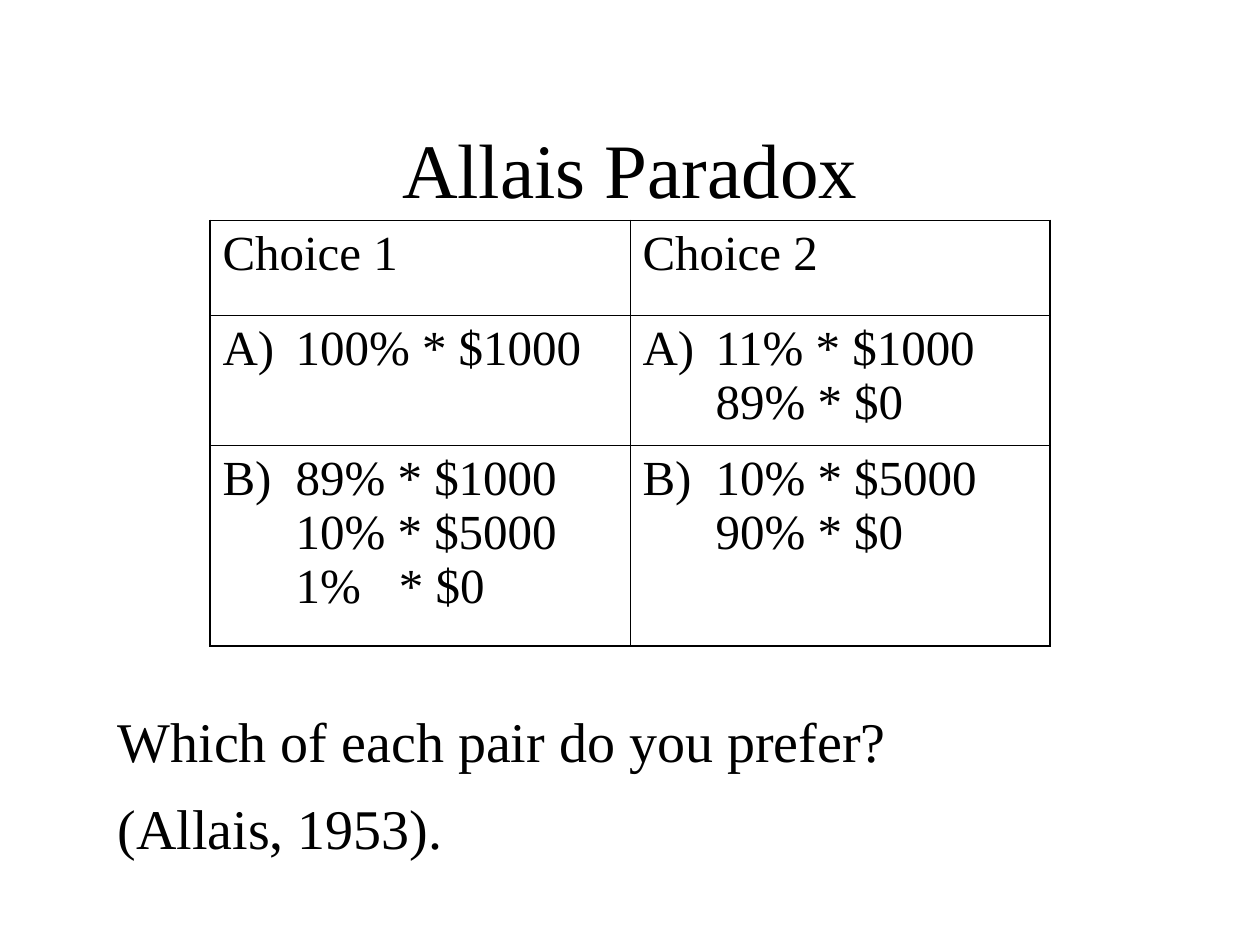
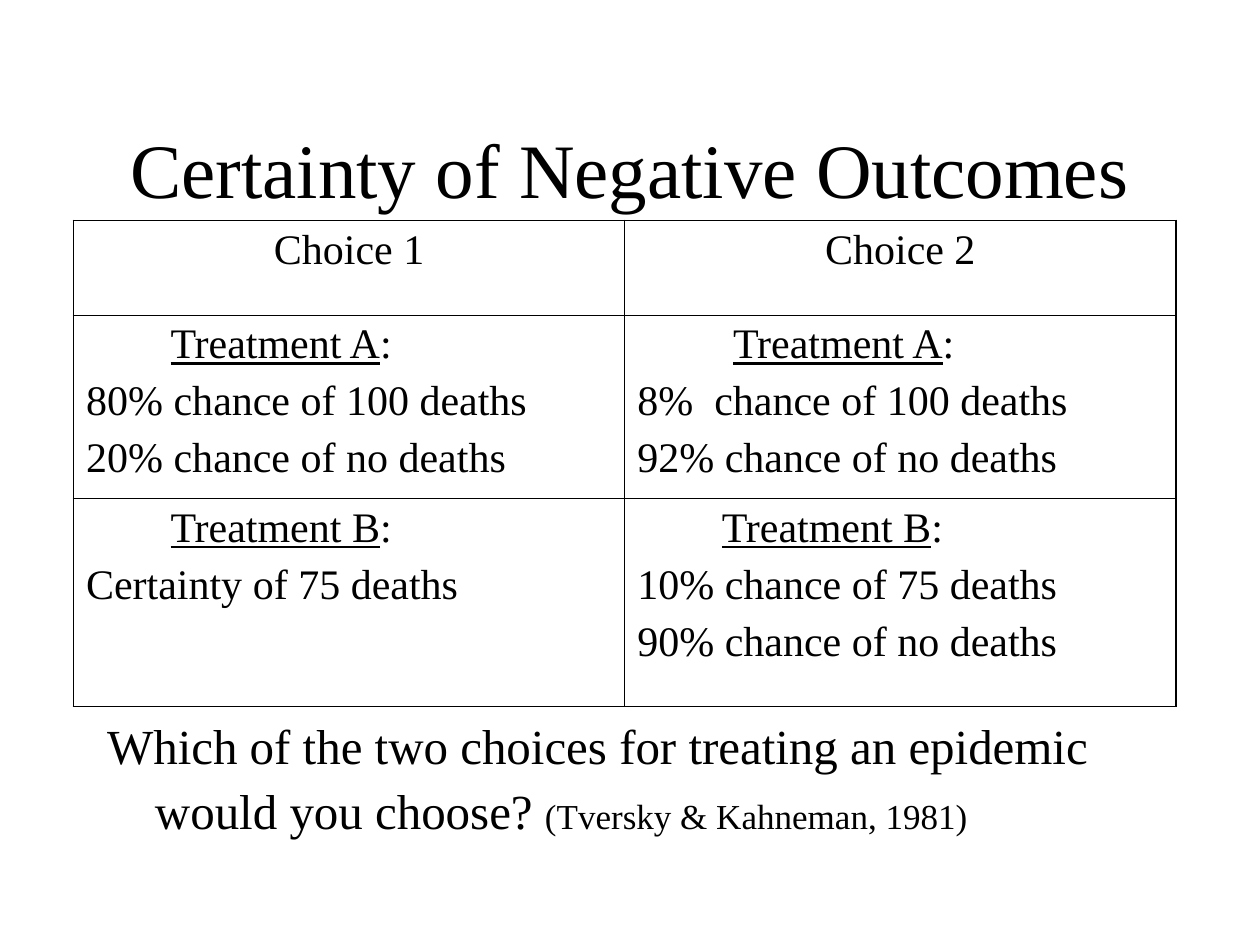
from lxml.etree import SubElement
from pptx import Presentation
from pptx.dml.color import RGBColor
from pptx.enum.text import MSO_ANCHOR, MSO_AUTO_SIZE, PP_ALIGN
from pptx.oxml.ns import qn
from pptx.util import Emu, Inches, Pt

COLUMNS, ROWS = 120, 90


def color(value):
    return RGBColor.from_string(value)


def add_text(paragraph, text, size, font="Times New Roman", ink="000000", underline=False):
    for index, line in enumerate(text.split("\n")):
        if index:
            paragraph.add_line_break()
        run = paragraph.add_run()
        run.text = line
        run.font.name = font
        run.font.size = Pt(size)
        run.font.color.rgb = color(ink)
        run.font.underline = underline


def format_paragraph(paragraph, indent=0, hang=0, number=0, tabs=(), before=0, spacing=None, align=None):
    properties = paragraph._p.get_or_add_pPr()
    properties.set("marL", str(Inches(indent)))
    properties.set("indent", str(-Inches(hang)))
    if number:
        SubElement(properties, qn("a:buAutoNum"), type="alphaUcParenR", startAt=str(number))
    else:
        SubElement(properties, qn("a:buNone"))
    if tabs:
        stops = SubElement(properties, qn("a:tabLst"))
        for stop in tabs:
            SubElement(stops, qn("a:tab"), pos=str(Inches(stop)), algn="l")
    paragraph.space_before = Pt(before)
    paragraph.alignment = align
    if spacing:
        paragraph.line_spacing = spacing


class Deck:
    ink = "000000"
    outer_line, inner_line = 1.08, 0.45
    title_size = 44
    leading = 1.1

    def __init__(self):
        self.presentation = Presentation()
        self.presentation.slide_width = Inches(10)
        self.presentation.slide_height = Inches(7.5)
        self.slide = None

    def across(self, columns):
        return Emu(round(self.presentation.slide_width * columns / COLUMNS))

    def down(self, rows):
        return Emu(round(self.presentation.slide_height * rows / ROWS))

    def place(self, holder, left, top, width, height):
        holder.left, holder.top = self.across(left), self.down(top)
        holder.width, holder.height = self.across(width), self.down(height)
        frame = holder.text_frame
        frame.word_wrap = True
        frame.auto_size = MSO_AUTO_SIZE.NONE
        return frame

    def new_slide(self, heading):
        self.slide = self.presentation.slides.add_slide(self.presentation.slide_layouts[1])
        frame = self.place(self.slide.shapes.title, 9, 8, 102, 15)
        frame.vertical_anchor = MSO_ANCHOR.MIDDLE
        format_paragraph(frame.paragraphs[0], spacing=self.leading, align=PP_ALIGN.CENTER)
        add_text(frame.paragraphs[0], heading, self.title_size)

    def question(self, area, paragraphs, before=0):
        frame = self.place(self.slide.placeholders[1], *area)
        frame.vertical_anchor = MSO_ANCHOR.TOP
        for index, pieces in enumerate(paragraphs):
            paragraph = frame.add_paragraph() if index else frame.paragraphs[0]
            format_paragraph(paragraph, indent=0.38, hang=0.38, spacing=self.leading,
                             before=before if index else 0)
            for text, size in pieces:
                add_text(paragraph, text, size)

    def border(self, cell, edges):
        properties = cell._tc.get_or_add_tcPr()
        for index, (side, outer) in enumerate(edges.items()):
            width = Pt(self.outer_line if outer else self.inner_line)
            line = properties.makeelement(qn("a:ln" + side), {"w": str(width)})
            fill = SubElement(line, qn("a:solidFill"))
            SubElement(fill, qn("a:srgbClr"), val=self.ink)
            properties.insert(index, line)

    def choices(self, left, column_width, row_heights, cells, size, before=0):
        row_count, column_count = len(cells), len(cells[0])
        table = self.slide.shapes.add_table(
            row_count, column_count, self.across(left), self.down(21),
            self.across(column_width * column_count), self.down(sum(row_heights))).table
        table.first_row = table.horz_banding = False
        for column in table.columns:
            column.width = self.across(column_width)
        for row, height in zip(table.rows, row_heights):
            row.height = self.down(height)
        for r, row in enumerate(cells):
            for c, paragraphs in enumerate(row):
                cell = table.cell(r, c)
                cell.fill.background()
                self.border(cell, {"L": c == 0, "R": c == column_count - 1,
                                   "T": r == 0, "B": r == row_count - 1})
                for index, (pieces, layout) in enumerate(paragraphs):
                    frame = cell.text_frame
                    paragraph = frame.add_paragraph() if index else frame.paragraphs[0]
                    format_paragraph(paragraph, before=before if index else 0, **layout)
                    for text, style in pieces:
                        add_text(paragraph, text, size, **style)


def plain(text, **layout):
    return [([(text, {})], layout)]


def gamble(number, outcomes, **layout):
    return plain(outcomes, indent=0.58, hang=0.58, number=number, **layout)


def treatment(letter, outcomes, indent=0.67):
    label = [("Treatment " + letter, {"underline": True}), (":", {})]
    return [(label, {"indent": indent})] + [
        ([(outcome, {})], {"indent": 0.58, "hang": 0.58}) for outcome in outcomes]


def allais_paradox(deck):
    deck.new_slide("Allais Paradox")
    deck.question((10, 66, 102, 20),
                  [[("Which of each pair do you prefer?", 32)], [("(Allais, 1953).", 32)]], before=8)
    deck.choices(20, 40, (9, 12.4, 19.1), [
        [plain("Choice 1"), plain("Choice 2")],
        [gamble(1, "100% * $1000"), gamble(1, "11% * $1000\n89% * $0")],
        [gamble(2, "89% * $1000\n10% * $5000\n1%\t* $0", tabs=(0.81, 1.4)),
         gamble(2, "10% * $5000\n90% * $0")],
    ], size=28)


def negative_outcomes(deck):
    deck.new_slide("Certainty of Negative Outcomes")
    deck.question((9, 67, 102, 13), [[
        ("Which of the two choices for treating an epidemic would you choose? ", 28),
        ("(Tversky & Kahneman, 1981)", 20)]])
    deck.choices(7, 52.5, (9, 17.5, 19.8), [
        [plain(f"Choice {number}", align=PP_ALIGN.CENTER) for number in (1, 2)],
        [treatment("A", ["80% chance of 100 deaths", "20% chance of no deaths"]),
         treatment("A", ["8%  chance of 100 deaths", "92% chance of no deaths"], indent=0.76)],
        [treatment("B", ["Certainty of 75 deaths"]),
         treatment("B", ["10% chance of 75 deaths", "90% chance of no deaths"])],
    ], size=24, before=6)


def main():
    deck = Deck()
    allais_paradox(deck)
    negative_outcomes(deck)
    deck.presentation.save("out.pptx")


if __name__ == "__main__":
    main()
